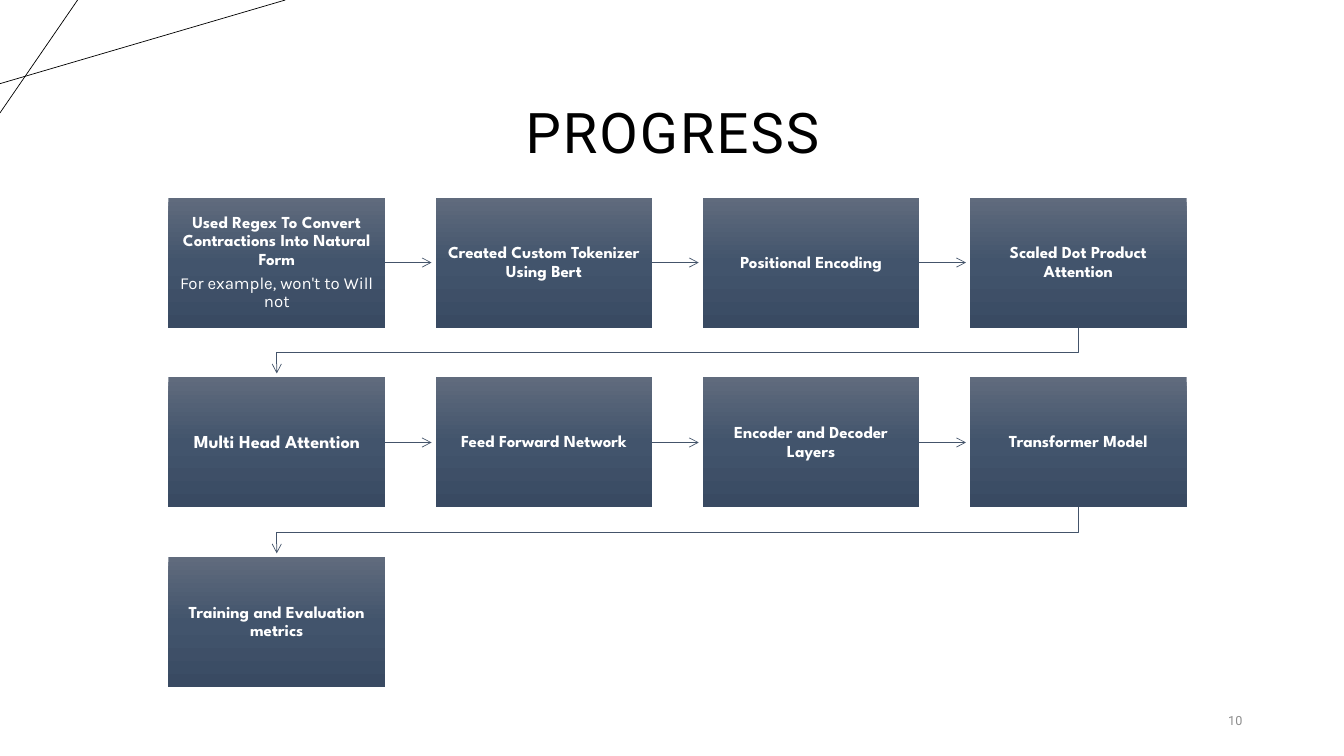
from copy import deepcopy
from lxml.etree import SubElement
from pptx import Presentation
from pptx.dml.color import RGBColor
from pptx.enum.shapes import MSO_CONNECTOR, MSO_SHAPE
from pptx.enum.text import MSO_ANCHOR, MSO_AUTO_SIZE, PP_ALIGN
from pptx.oxml.ns import qn
from pptx.util import Inches, Pt

# Content: heading, size, optional note
TITLE = "PROGRESS"
NUMBER = "10"
STEPS = [
    ("Used Regex To Convert Contractions Into Natural Form", 12,
     "For example, won't to Will not"),
    ("Created Custom Tokenizer Using Bert", 12, None),
    ("Positional Encoding", 12, None),
    ("Scaled Dot Product Attention", 12, None),
    ("Multi Head Attention", 13, None),
    ("Feed Forward Network", 12, None),
    ("Encoder and Decoder Layers", 12, None),
    ("Transformer Model", 12, None),
    ("Training and Evaluation metrics", 12, None),
]
CORNER = [((0, 0.83), (2.83, 0)), ((0.77, 0), (0, 1.12))]

# Colours
BLACK = RGBColor(0x00, 0x00, 0x00)
WHITE = RGBColor(0xFF, 0xFF, 0xFF)
GREY = RGBColor(0x8C, 0x8C, 0x8C)
SLATE = RGBColor(0x44, 0x54, 0x6A)
SHADES = [RGBColor(0x60, 0x6B, 0x7D), RGBColor(0x42, 0x54, 0x6C),
          RGBColor(0x39, 0x4A, 0x62)]

# Grid, in inches
COLS = 4
LEFT, TOP = 1.67, 1.96
WIDE, HIGH = 2.15, 1.29
STEP_X, STEP_Y = 2.65, 1.785
GAP = 0.04
INSET = 0.11

deck = Presentation()
deck.slide_width, deck.slide_height = Inches(13.33), Inches(7.5)
slide = deck.slides.add_slide(deck.slide_layouts[5])
shapes = slide.shapes


def add_text(para, text, size, font, color, bold=False):
    run = para.add_run()
    run.text = text
    run.font.size, run.font.name, run.font.bold = Pt(size), font, bold
    run.font.color.rgb = color
    return run


def style_line(shape, color, arrow=False):
    shape.line.color.rgb = color
    shape.line.width = Pt(0.5)
    if arrow:
        line = shape.element.spPr.find(qn("a:ln"))
        SubElement(line, qn("a:tailEnd"), type="arrow")


def add_line(start, end, color, arrow=False):
    ends = [Inches(v) for v in (*start, *end)]
    line = shapes.add_connector(MSO_CONNECTOR.STRAIGHT, *ends)
    style_line(line, color, arrow)
    SubElement(line.element.spPr, qn("a:effectLst"))


def add_bend(points):
    spots = [(Inches(x), Inches(y)) for x, y in points]
    build = shapes.build_freeform(*spots[0])
    build.add_line_segments(spots[1:], close=False)
    bend = build.convert_to_shape()
    bend.fill.background()
    bend.shadow.inherit = False
    style_line(bend, SLATE, arrow=True)


def shade(card):
    card.fill.gradient()
    card.fill.gradient_angle = 270
    stops = card.element.spPr.find(".//" + qn("a:gsLst"))
    stops.insert(1, deepcopy(stops[0]))
    for i, stop in enumerate(card.fill.gradient_stops):
        stop.position = i / 2
        stop.color.rgb = SHADES[i]


def add_card(x, y, head, size, note):
    card = shapes.add_shape(MSO_SHAPE.RECTANGLE, Inches(x), Inches(y),
                            Inches(WIDE), Inches(HIGH))
    card.shadow.inherit = False
    card.line.fill.background()
    shade(card)
    frame = card.text_frame
    frame.word_wrap = True
    frame.vertical_anchor = MSO_ANCHOR.MIDDLE
    frame.margin_left = frame.margin_right = Inches(INSET)
    frame.margin_top = frame.margin_bottom = Inches(INSET)
    add_text(frame.paragraphs[0], head, size, "League Spartan", WHITE, True)
    if note:
        add_text(frame.add_paragraph(), note, size, "Karla", WHITE)
    for para in frame.paragraphs:
        para.alignment = PP_ALIGN.CENTER
        para.line_spacing = 0.9
        para.space_after = Pt(4.2)


# Corner lines
for start, end in CORNER:
    add_line(start, end, BLACK)

# Title
title = shapes.title
title.left, title.top = Inches(0.92), Inches(0.24)
title.width, title.height = Inches(11.5), Inches(1.45)
frame = title.text_frame
frame.word_wrap = True
frame.auto_size = MSO_AUTO_SIZE.NONE
frame.vertical_anchor = MSO_ANCHOR.BOTTOM
para = frame.paragraphs[0]
para.alignment, para.line_spacing = PP_ALIGN.CENTER, 0.9
run = add_text(para, TITLE, 40, "Roboto", BLACK)
run.font.element.set("spc", "150") if hasattr(run.font, "element") else \
    para.runs[0].font._element.set("spc", "150") if hasattr(
        run.font, "_element") else para.runs[0]._r.get_or_add_rPr().set(
        "spc", "150")

# Steps and the arrows between them
for i, step in enumerate(STEPS):
    row, col = divmod(i, COLS)
    x, y = LEFT + col * STEP_X, TOP + row * STEP_Y
    add_card(x, y, *step)
    if i == len(STEPS) - 1:
        continue
    if col < COLS - 1:
        mid = y + HIGH / 2
        add_line((x + WIDE, mid), (x + STEP_X - GAP, mid), SLATE, True)
    else:
        first, last = LEFT + WIDE / 2, x + WIDE / 2
        base, turn = y + HIGH, y + (HIGH + STEP_Y) / 2
        add_bend([(last, base), (last, turn), (first, turn),
                  (first, y + STEP_Y - GAP)])

# Slide number
box = shapes.add_textbox(Inches(11.34), Inches(6.95), Inches(1.08), Inches(0.4))
box.text_frame.word_wrap = True
box.text_frame.vertical_anchor = MSO_ANCHOR.MIDDLE
para = box.text_frame.paragraphs[0]
para.alignment = PP_ALIGN.RIGHT
add_text(para, NUMBER, 9, "Roboto", GREY)

deck.save("out.pptx")
